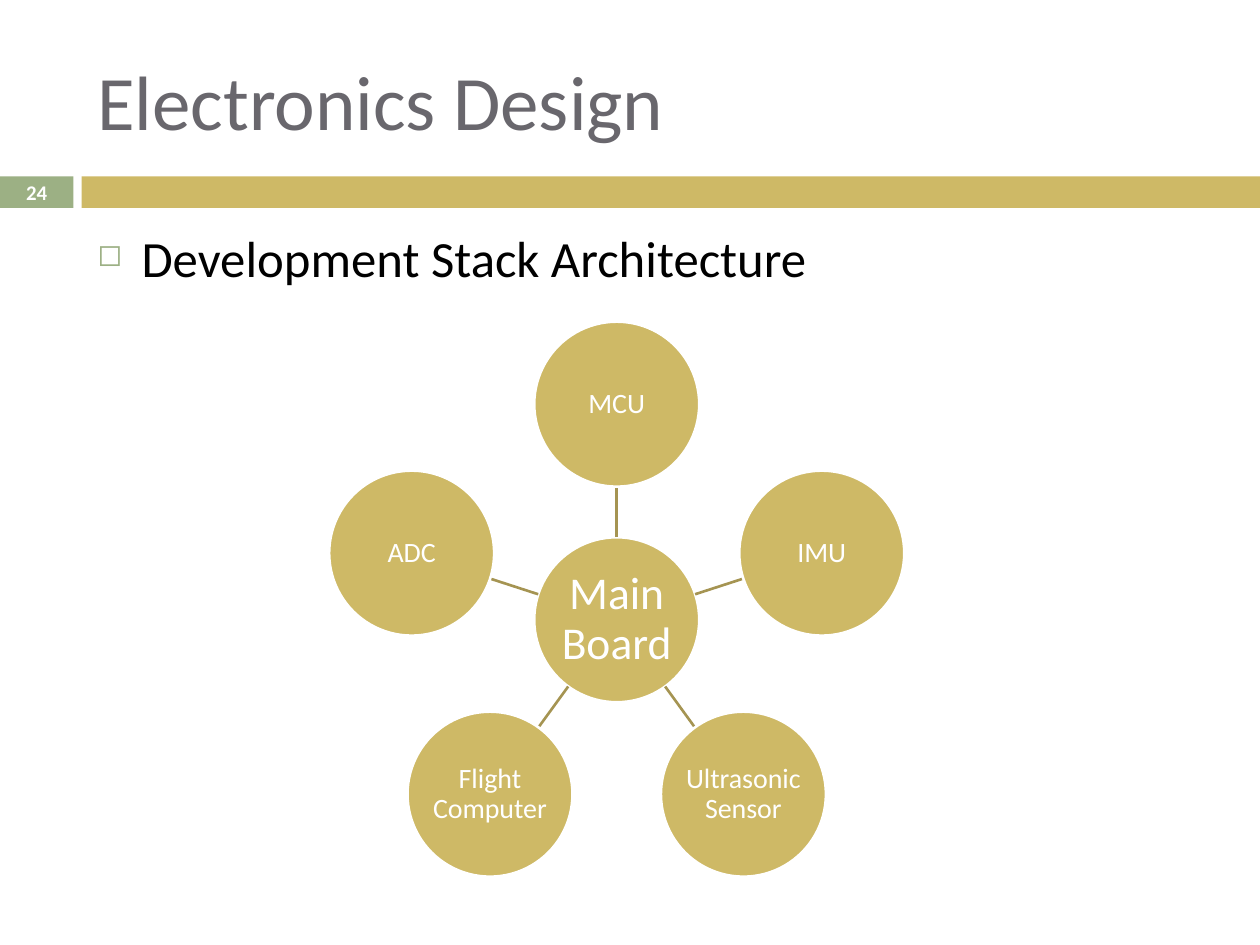
import math
import pptx
import pptx.util
import pptx.dml.color
import pptx.enum.shapes
import pptx.enum.text
import pptx.oxml.ns
import lxml.etree

Pt = pptx.util.Pt
SHAPE = pptx.enum.shapes.MSO_SHAPE
ALIGN = pptx.enum.text.PP_ALIGN
ANCHOR = pptx.enum.text.MSO_ANCHOR
GOLD, GREEN, WHITE, DARK_GOLD = "CEB966", "9CB084", "FFFFFF", "A59452"


def color(value):
    return pptx.dml.color.RGBColor.from_string(value)


def add_element(parent, tag, **attrs):
    return lxml.etree.SubElement(parent, pptx.oxml.ns.qn(tag), attrs)


def add_shape(s, kind, box, fill, line=None):
    sp = s.shapes.add_shape(kind, *map(Pt, box))
    sp.shadow.inherit = False
    sp.fill.solid()
    sp.fill.fore_color.rgb = color(fill)
    if line:
        sp.line.color.rgb = color(line)
        sp.line.width = Pt(1.5)
    else:
        sp.line.fill.background()
    return sp


def set_text(sp, text, size, rgb, align=ALIGN.LEFT, anchor=ANCHOR.MIDDLE,
             inset=None, bold=False, spacing=None):
    tf = sp.text_frame
    frame = {"word_wrap": True, "vertical_anchor": anchor}
    if inset is not None:
        for side in ("left", "top", "right", "bottom"):
            frame[f"margin_{side}"] = Pt(inset)
    for name, value in frame.items():
        setattr(tf, name, value)
    p = tf.paragraphs[0]
    p.alignment = align
    if spacing:
        p.line_spacing = spacing
    r = p.add_run()
    r.text = text
    for name, value in {"name": "Calibri", "size": Pt(size), "bold": bold}.items():
        setattr(r.font, name, value)
    r.font.color.rgb = color(rgb)
    return p


def add_title(s, box, text):
    sp = s.shapes.add_textbox(*map(Pt, box))
    set_text(sp, text, 44, "69676D")


def add_band(s, box, number):
    x, y, w, h = box
    tab, gap = 42, 4.6
    sp = add_shape(s, SHAPE.RECTANGLE, (x, y, tab, h), GREEN)
    set_text(sp, number, 11.9, WHITE, ALIGN.CENTER, inset=0, bold=True)
    add_shape(s, SHAPE.RECTANGLE, (x + tab + gap, y, w - tab - gap, h), GOLD)


def add_body(s, box, text):
    sp = s.shapes.add_textbox(*map(Pt, box))
    p = set_text(sp, text, 29, "000000", anchor=ANCHOR.TOP)
    props = p._p.get_or_add_pPr()
    props.set("marL", str(Pt(25.2)))
    props.set("indent", str(-Pt(25.2)))
    add_element(add_element(props, "a:buClr"), "a:srgbClr", val=GREEN)
    add_element(props, "a:buSzPct", val="60000")
    add_element(props, "a:buChar", char="◻")


def add_spoke(s, start, end):
    line = s.shapes.add_connector(pptx.enum.shapes.MSO_CONNECTOR.STRAIGHT,
                                  *map(Pt, start + end))
    line.line.color.rgb = color(DARK_GOLD)
    line.line.width = Pt(1.5)
    add_element(line._element.spPr, "a:effectLst")


def add_hub(s, box, hub, nodes):
    x, y, w, diameter = box
    radius, orbit = diameter / 2, 123.2
    cx, cy = x + w / 2, y + radius + orbit

    def point(distance, angle):
        return cx + distance * math.sin(angle), cy - distance * math.cos(angle)

    def add_circle(center, text, size):
        left, top = (c - radius for c in center)
        sp = add_shape(s, SHAPE.OVAL, (left, top, diameter, diameter), GOLD, WHITE)
        set_text(sp, text, size, WHITE, ALIGN.CENTER, inset=0, spacing=0.9)

    add_circle((cx, cy), hub, 26)
    for i, text in enumerate(nodes):
        angle = 2 * math.pi * i / len(nodes)
        add_spoke(s, point(radius, angle), point(orbit - radius, angle))
        add_circle(point(orbit, angle), text, 16)


def main():
    prs = pptx.Presentation()
    prs.slide_width, prs.slide_height = Pt(720), Pt(540)
    s = prs.slides.add_slide(prs.slide_layouts[6])
    add_band(s, (0, 100.8, 720, 18), "24")
    add_title(s, (48.6, 18, 642, 78), "Electronics Design")
    add_body(s, (48.6, 126, 642, 354), "Development Stack Architecture")
    add_hub(s, (188.4, 183.8, 328, 94.3), "Main Board",
            ["MCU", "IMU", "Ultrasonic Sensor", "Flight Computer", "ADC"])
    prs.save("out.pptx")


if __name__ == "__main__":
    main()
